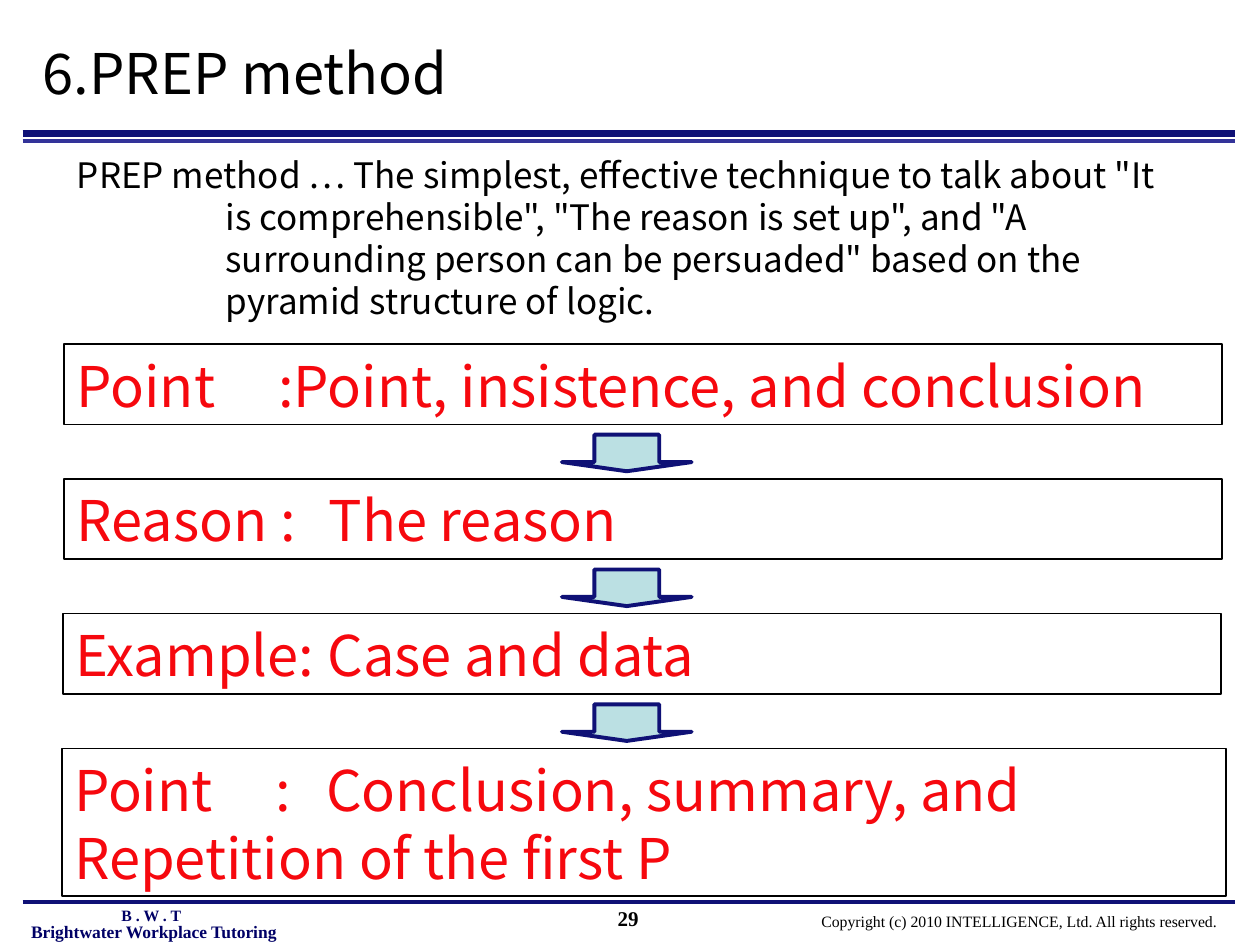
import pptx
import pptx.dml.color
import pptx.enum.shapes
import pptx.enum.text
import pptx.oxml
import pptx.oxml.ns
import pptx.util
from pptx.util import Inches

COLORS = {
    "navy": "0F1176",
    "indigo": "333399",
    "footer": "000066",
    "black": "000000",
    "red": "F6080E",
    "arrow": "BBE0E3",
}
SANS = "Noto Sans CJK JP"
SERIF = "Times New Roman"
STEP_TOP, STEP_PITCH = 2.73, 1.07
LEFT = pptx.enum.text.PP_ALIGN.LEFT
CENTER = pptx.enum.text.PP_ALIGN.CENTER
DESCRIPTION = (
    'PREP method … The simplest, effective technique to talk about "It is '
    'comprehensible", "The reason is set up", and "A surrounding person can be '
    'persuaded" based on the pyramid structure of logic.'
)
# text, left, width, height, tab stops
STEPS = [
    ("Point\t:Point, insistence, and conclusion", 0.51, 9.19, 0.64, [1.6]),
    ("Reason :\tThe reason", 0.51, 9.19, 0.64, [2]),
    ("Example:\tCase and data", 0.5, 9.19, 0.64, [2]),
    ("Point\t:\tConclusion, summary, and Repetition of the first P",
     0.49, 9.24, 1.17, [1.6, 2]),
]


def rgb(name):
    return pptx.dml.color.RGBColor.from_string(COLORS[name])


def place(box, left, top, width, height):
    box.left, box.top = Inches(left), Inches(top)
    box.width, box.height = Inches(width), Inches(height)


def write(box, text, size, color, font=SANS, bold=False, align=LEFT,
          line_height=None, wrap=True):
    """Fill a box with one top-anchored paragraph and return that paragraph."""
    frame = box.text_frame
    frame.text = text
    frame.word_wrap = wrap
    frame.auto_size = pptx.enum.text.MSO_AUTO_SIZE.NONE
    frame.vertical_anchor = pptx.enum.text.MSO_ANCHOR.TOP
    frame.margin_left = frame.margin_right = Inches(0.1)
    frame.margin_top = frame.margin_bottom = Inches(0.05)
    para = frame.paragraphs[0]
    para.alignment = align
    para.space_before = pptx.util.Pt(0)
    if line_height:
        para.line_spacing = pptx.util.Pt(line_height)
    for span in para.runs:
        span.font.name = font
        span.font.size = pptx.util.Pt(size)
        span.font.bold = bold
        span.font.color.rgb = rgb(color)
    return para


def add_tabs(para, stops):
    properties = para._p.get_or_add_pPr()
    tabs = pptx.oxml.parse_xml(
        "<a:tabLst %s/>" % pptx.oxml.ns.nsdecls("a"))
    for stop in stops:
        tab = tabs.makeelement(pptx.oxml.ns.qn("a:tab"),
                               {"pos": str(Inches(stop)), "algn": "l"})
        tabs.append(tab)
    properties.append(tabs)


def hang_without_bullet(para, indent):
    properties = para._p.get_or_add_pPr()
    properties.set("marL", str(Inches(indent)))
    properties.set("indent", str(-Inches(indent)))
    properties.append(pptx.oxml.parse_xml(
        "<a:buNone %s/>" % pptx.oxml.ns.nsdecls("a")))


def add_rule(page, y, color, weight):
    rule = page.shapes.add_connector(
        pptx.enum.shapes.MSO_CONNECTOR.STRAIGHT,
        Inches(0.18), Inches(y), Inches(9.8), Inches(y))
    rule.line.color.rgb = rgb(color)
    rule.line.width = pptx.util.Pt(weight)
    rule._element.spPr.append(pptx.oxml.parse_xml(
        "<a:effectLst %s/>" % pptx.oxml.ns.nsdecls("a")))


def add_label(page, area, text, size, color, **options):
    box = page.shapes.add_textbox(*map(Inches, area))
    write(box, text, size, color, font=SERIF, **options)


def add_step(page, top, text, left, width, height, stops):
    box = page.shapes.add_shape(
        pptx.enum.shapes.MSO_SHAPE.RECTANGLE,
        Inches(left), Inches(top), Inches(width), Inches(height))
    box.shadow.inherit = False
    box.fill.background()
    box.line.color.rgb = rgb("black")
    box.line.width = pptx.util.Pt(1)
    para = write(box, text, 32, "red", line_height=39)
    add_tabs(para, stops)


def add_down_arrow(page, top):
    arrow = page.shapes.add_shape(
        pptx.enum.shapes.MSO_SHAPE.DOWN_ARROW,
        Inches(4.46), Inches(top), Inches(1.03), Inches(0.29))
    arrow.adjustments[0], arrow.adjustments[1] = 0.5, 0.25
    arrow.shadow.inherit = False
    arrow.fill.solid()
    arrow.fill.fore_color.rgb = rgb("arrow")
    arrow.line.color.rgb = rgb("navy")
    arrow.line.width = pptx.util.Pt(2.25)


def add_footer(page):
    add_rule(page, 7.16, "navy", 2)
    add_label(page, (6.42, 7.19, 3.34, 0.25),
              "Copyright (c) 2010 INTELLIGENCE, Ltd. All rights reserved.",
              9, "black", wrap=False)
    add_label(page, (-0.04, 7.26, 2.52, 0.27),
              "Brightwater Workplace Tutoring",
              10, "footer", bold=True, align=CENTER)
    add_label(page, (0.04, 7.14, 2.32, 0.25), "B . W . T",
              9, "footer", bold=True, align=CENTER)
    add_label(page, (3.82, 7.14, 2.33, 0.3), "29",
              12, "black", bold=True, align=CENTER)


def main():
    deck = pptx.Presentation()
    deck.slide_width, deck.slide_height = Inches(10), Inches(7.5)
    page = deck.slides.add_slide(deck.slide_layouts[1])

    title, body = page.placeholders
    place(title, 0.24, 0.25, 7.68, 0.64)
    write(title, "6.PREP method", 32, "black", line_height=39)
    place(body, 0.51, 1.17, 8.9, 1.44)
    para = write(body, DESCRIPTION, 20, "black", line_height=24)
    hang_without_bullet(para, 1.18)

    add_rule(page, 1.06, "navy", 4)
    add_rule(page, 1.12, "indigo", 2)
    for index, step in enumerate(STEPS):
        top = STEP_TOP + index * STEP_PITCH
        add_step(page, top, *step)
        if index < len(STEPS) - 1:
            add_down_arrow(page, top + 0.72)
    add_footer(page)
    deck.save("out.pptx")


if __name__ == "__main__":
    main()
